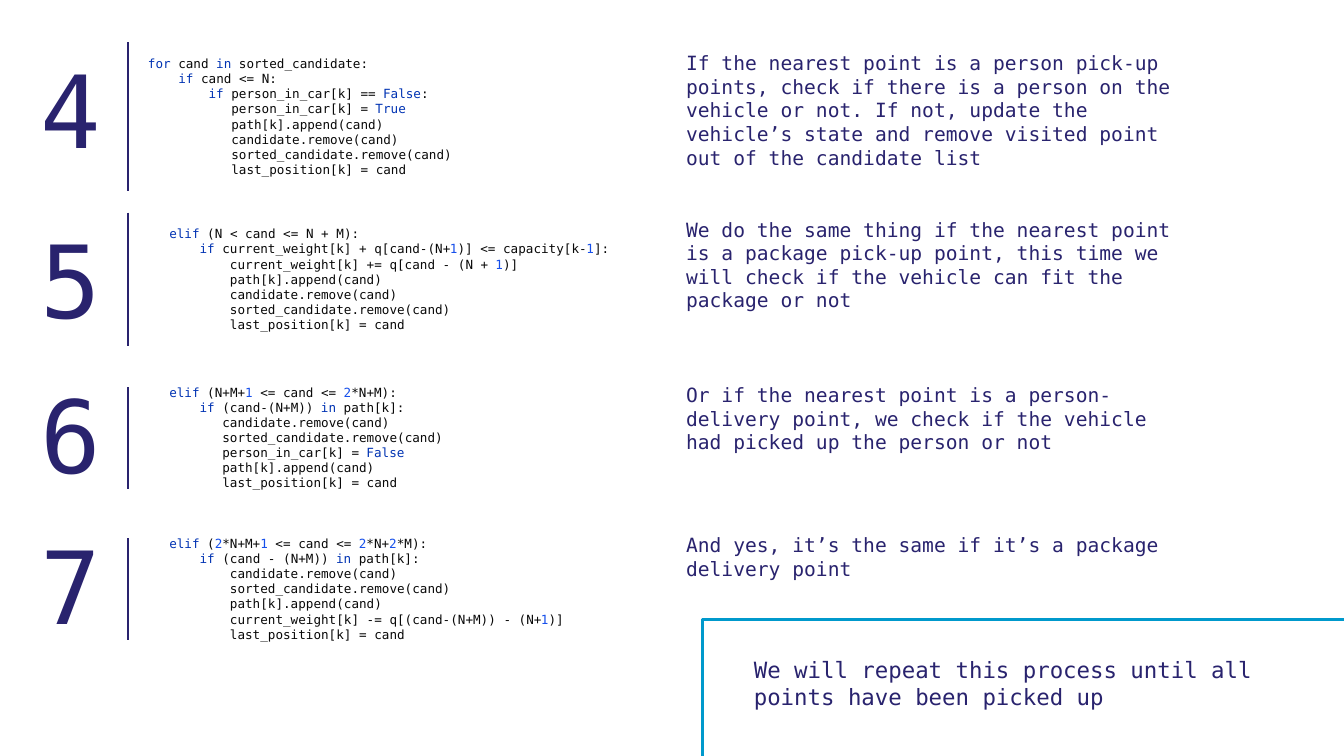
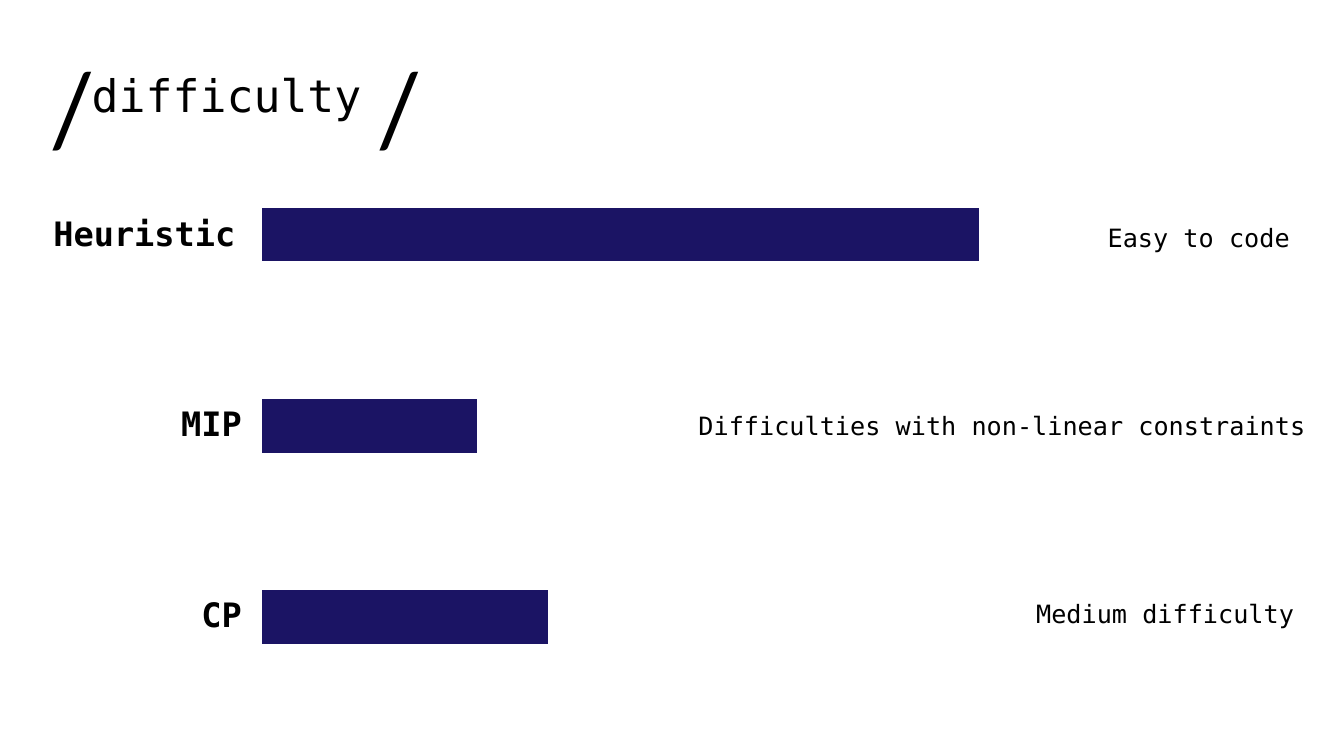
from itertools import groupby

from pptx import Presentation
from pptx.chart.data import CategoryChartData
from pptx.dml.color import RGBColor
from pptx.enum import chart as charts, shapes, text
from pptx.oxml import parse_xml
from pptx.oxml.ns import nsdecls
from pptx.util import Pt

COLOURS = {
    "ink": "29236E",
    "black": "000000",
    "code": "080808",
    "keyword": "0033B3",
    "number": "1750EB",
    "frame": "0099CC",
    "bar": "1B1464",
}
MONO = "DejaVu Sans Mono"
KEYWORDS = {"for", "in", "if", "elif", "True", "False"}
CODE_SIZE = 9
CODE_CHAR = CODE_SIZE * 0.602  # width of one monospaced letter
SLIDE_WIDTH, SLIDE_HEIGHT = 960, 540


def style(font, colour, **values):
    """Set a font's colour and any further attributes, in the mono face by default."""
    for name, value in {"name": MONO, **values}.items():
        setattr(font, name, value)
    font.color.rgb = RGBColor.from_string(COLOURS[colour])


def add_text(page, left, top, width, height, words, colour, wrap=True, **values):
    box = page.shapes.add_textbox(Pt(left), Pt(top), Pt(width), Pt(height))
    box.text_frame.word_wrap = wrap
    if words:
        span = box.text_frame.paragraphs[0].add_run()
        span.text = words
        style(span.font, colour, **values)
    return box.text_frame


deck = Presentation()
deck.slide_width, deck.slide_height = Pt(SLIDE_WIDTH), Pt(SLIDE_HEIGHT)

# Slide 1: numbered code steps with explanations
STEPS = [
    {
        "number": "4", "number_top": 30.2, "rule": (30.2, 136.1),
        "code_left": 98.6, "code_middle": 83.2, "note_top": 33.1,
        "note": "If the nearest point is a person pick-up points, check if there is a "
                "person on the vehicle or not. If not, update the vehicle’s state and "
                "remove visited point out of the candidate list",
        "code": """\
for cand in sorted_candidate:
    if cand <= N:
        if person_in_car[k] == False:
           person_in_car[k] = True
           path[k].append(cand)
           candidate.remove(cand)
           sorted_candidate.remove(cand)
           last_position[k] = cand""",
    },
    {
        "number": "5", "number_top": 151.9, "rule": (151.9, 247),
        "code_left": 113.8, "code_middle": 199.5, "note_top": 151.9,
        "note": "We do the same thing if the nearest point is a package pick-up point, "
                "this time we will check if the vehicle can fit the package or not",
        "code": """\
elif (N < cand <= N + M):
    if current_weight[k] + q[cand-(N+1)] <= capacity[k-1]:
        current_weight[k] += q[cand - (N + 1)]
        path[k].append(cand)
        candidate.remove(cand)
        sorted_candidate.remove(cand)
        last_position[k] = cand""",
    },
    {
        "number": "6", "number_top": 262.8, "rule": (276.5, 349.2),
        "code_left": 113.8, "code_middle": 312.5, "note_top": 270,
        "note": "Or if the nearest point is a person-delivery point, we check if the "
                "vehicle had picked up the person or not",
        "code": """\
elif (N+M+1 <= cand <= 2*N+M):
    if (cand-(N+M)) in path[k]:
       candidate.remove(cand)
       sorted_candidate.remove(cand)
       person_in_car[k] = False
       path[k].append(cand)
       last_position[k] = cand""",
    },
    {
        "number": "7", "number_top": 370.8, "rule": (384.5, 457.2),
        "code_left": 113.8, "code_middle": 420.5, "note_top": 377.3,
        "note": "And yes, it’s the same if it’s a package delivery point",
        "code": """\
elif (2*N+M+1 <= cand <= 2*N+2*M):
    if (cand - (N+M)) in path[k]:
        candidate.remove(cand)
        sorted_candidate.remove(cand)
        path[k].append(cand)
        current_weight[k] -= q[(cand-(N+M)) - (N+1)]
        last_position[k] = cand""",
    },
]
CODE_HEIGHT = 94
RULE_X = 91.4

page = deck.slides.add_slide(deck.slide_layouts[6])
for step in STEPS:
    add_text(page, 21.6, step["number_top"], 62.6, 94.3, step["number"], "ink", size=Pt(72))
    add_text(page, 483, step["note_top"], 371, 92, step["note"], "ink", size=Pt(14))

    start, end = step["rule"]
    rule = page.shapes.add_connector(
        shapes.MSO_CONNECTOR.STRAIGHT, Pt(RULE_X), Pt(start), Pt(RULE_X), Pt(end))
    rule.line.color.rgb = RGBColor.from_string(COLOURS["ink"])
    rule.line.width = Pt(2)
    rule._element.spPr.append(parse_xml(f"<a:effectLst {nsdecls('a')}/>"))

    listing = add_text(page, step["code_left"], step["code_middle"] - CODE_HEIGHT / 2,
                       350, CODE_HEIGHT, "", "code")
    listing.vertical_anchor = text.MSO_ANCHOR.MIDDLE
    for index, line in enumerate(step["code"].splitlines()):
        para = listing.add_paragraph() if index else listing.paragraphs[0]
        code = line.lstrip()
        indent = (len(line) - len(code)) * CODE_CHAR
        para._p.get_or_add_pPr().set("marL", str(int(Pt(indent))))

        tokens = []
        for _, letters in groupby(code, lambda letter: letter.isalnum() or letter == "_"):
            token = "".join(letters)
            kind = ("keyword" if token in KEYWORDS
                    else "number" if token.isdigit() else "code")
            tokens.append((kind, token))
        for kind, group in groupby(tokens, lambda item: item[0]):
            span = para.add_run()
            span.text = "".join(token for _, token in group)
            style(span.font, kind, size=Pt(CODE_SIZE))

add_text(page, 531.4, 465.1, 397.4, 46, "We will repeat this process until all points "
         "have been picked up", "ink", size=Pt(16))
frame = page.shapes.add_shape(
    shapes.MSO_SHAPE.RECTANGLE, Pt(501.8), Pt(442.8), Pt(517), Pt(124.6))
frame.shadow.inherit = False
frame.fill.background()
frame.line.color.rgb = RGBColor.from_string(COLOURS["frame"])
frame.line.width = Pt(2.25)

# Slide 2: difficulty chart
page = deck.slides.add_slide(deck.slide_layouts[5])
title = page.shapes.title
for side, value in {"left": 58.3, "top": 44.6, "width": 595.4, "height": 46}.items():
    setattr(title, side, Pt(value))
title.text_frame.text = "difficulty"
title.text_frame.word_wrap = True
title.text_frame.auto_size = text.MSO_AUTO_SIZE.NONE
title.text_frame.vertical_anchor = text.MSO_ANCHOR.TOP
heading = title.text_frame.paragraphs[0]
heading.alignment = text.PP_ALIGN.LEFT
style(heading.runs[0].font, "black", size=Pt(32))

for left in (28.1, 262.1):
    add_text(page, left, 28.8, 37.4, 94.3, "/", "black", wrap=False,
             size=Pt(72), name="Lato")

data = CategoryChartData()
data.categories = ["1", "2", "3"]
data.add_series("Series 1", [40, 30, 100])
chart = page.shapes.add_chart(
    charts.XL_CHART_TYPE.BAR_CLUSTERED, Pt(174.2), Pt(90.7), Pt(640), Pt(427), data).chart
style(chart.font, "black", size=Pt(10), name="Calibri")
chart.has_legend = chart.has_title = False
for axis in (chart.category_axis, chart.value_axis):
    axis.has_major_gridlines = False
    axis.visible = False
chart.value_axis.minimum_scale, chart.value_axis.maximum_scale = 0, 120
plot = chart.plots[0]
plot.gap_width = 257
plot.vary_by_categories = False
bars = plot.series[0].format.fill
bars.solid()
bars.fore_color.rgb = RGBColor.from_string(COLOURS["bar"])

METHODS = [
    ("Heuristic", 31, "Easy to code", 784.1),
    ("MIP", 122.4, "Difficulties with non-linear constraints", 491.8),
    ("CP", 136.8, "Medium difficulty", 733),
]
LABEL_END = 188
for row, (label, label_left, remark, remark_left) in enumerate(METHODS):
    add_text(page, label_left, 148.3 + row * 136.1, LABEL_END - label_left, 36,
             label, "black", size=Pt(24), bold=True)
    add_text(page, remark_left, 155.5 + row * 134.3, SLIDE_WIDTH - remark_left, 29,
             remark, "black", size=Pt(18))

deck.save("out.pptx")
